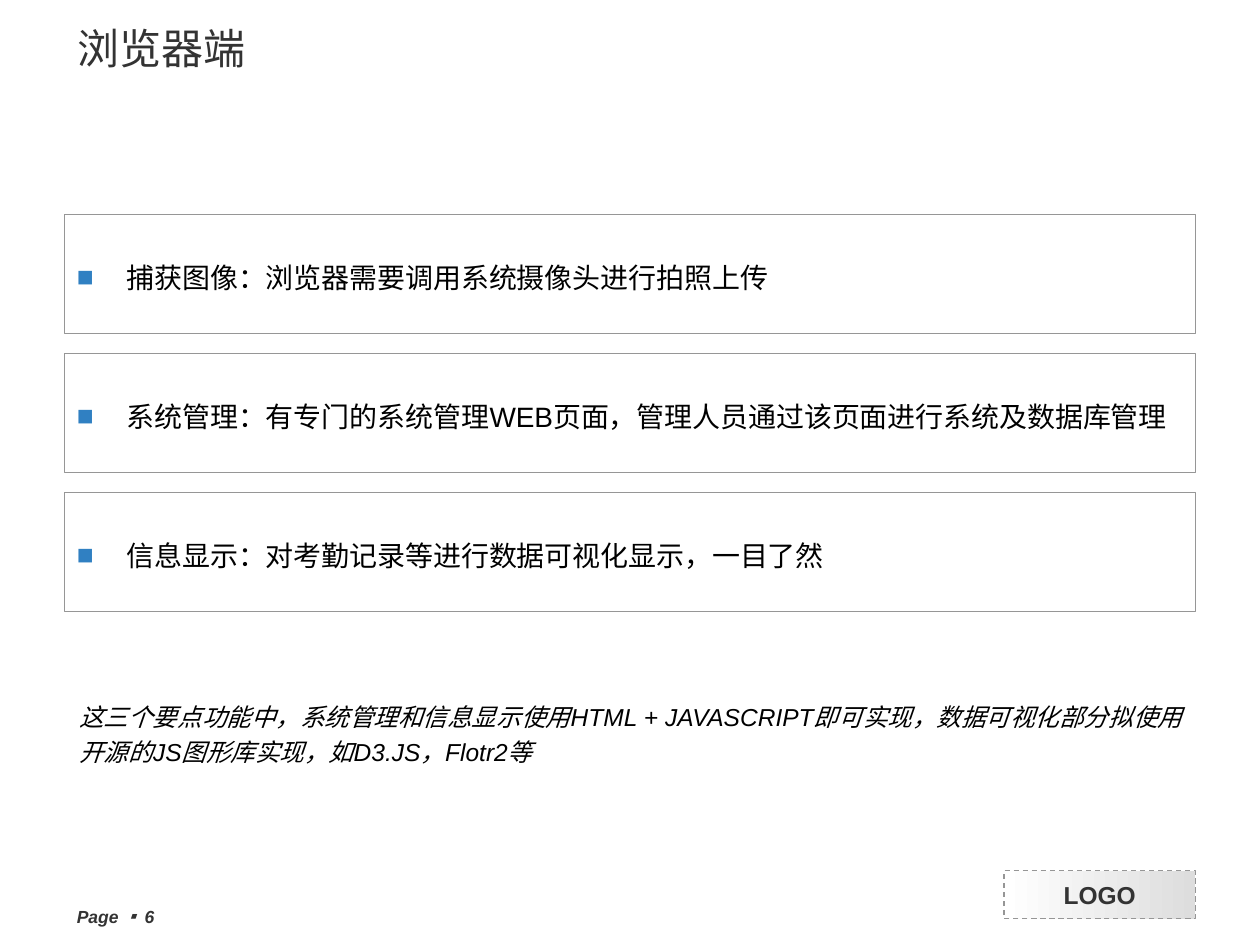
from lxml.etree import SubElement
from pptx import Presentation
from pptx.dml.color import RGBColor
from pptx.enum.dml import MSO_LINE
from pptx.enum.shapes import MSO_SHAPE
from pptx.enum.text import MSO_ANCHOR, MSO_AUTO_SIZE, PP_ALIGN
from pptx.oxml.ns import qn
from pptx.util import Cm, Pt

HEX = {"ink": "333333", "text": "000000", "line": "969696",
       "mark": "3080C2", "white": "FFFFFF", "grey": "DDDDDD"}
LATIN, ASIAN = "Arial", "Noto Sans CJK JP"
POINTS = ["捕获图像：浏览器需要调用系统摄像头进行拍照上传",
          "系统管理：有专门的系统管理WEB页面，管理人员通过该页面进行系统及数据库管理",
          "信息显示：对考勤记录等进行数据可视化显示，一目了然"]
NOTE = ("这三个要点功能中，系统管理和信息显示使用HTML + JAVASCRIPT即可实现，"
        "数据可视化部分拟使用开源的JS图形库实现，如D3.JS，Flotr2等")


def rgb(name):
    """Return the named colour."""
    return RGBColor.from_string(HEX[name])


def add_run(para, text, size, color, bold=False, italic=False, face=LATIN):
    """Add one formatted run to a paragraph."""
    run = para.add_run()
    run.text = text
    font = run.font
    font.name, font.size, font.bold, font.italic = face, Pt(size), bold, italic
    font.color.rgb = rgb(color)
    SubElement(font._element, qn("a:ea"), typeface=ASIAN)


def add_mark(para):
    """Give a paragraph a hanging square bullet."""
    props = para._p.get_or_add_pPr()
    props.set("marL", str(Cm(1)))
    props.set("indent", str(-Cm(1)))
    tint = SubElement(props, qn("a:buClr"))
    SubElement(tint, qn("a:srgbClr"), val=HEX["mark"])
    SubElement(props, qn("a:buFont"), typeface=LATIN)
    SubElement(props, qn("a:buChar"), char="■")


def add_box(slide, kind, x, y, w, h, weight):
    """Add an outlined shape with centred-height text."""
    box = slide.shapes.add_shape(kind, Cm(x), Cm(y), Cm(w), Cm(h))
    box.shadow.inherit = False
    box.line.color.rgb = rgb("line")
    box.line.width = Pt(weight)
    box.text_frame.vertical_anchor = MSO_ANCHOR.MIDDLE
    return box


def add_text(slide, x, y, w, h):
    """Add a wrapping text box and return its first paragraph."""
    frame = slide.shapes.add_textbox(Cm(x), Cm(y), Cm(w), Cm(h)).text_frame
    frame.word_wrap = True
    return frame.paragraphs[0]


def set_title(slide, x, y, w, h):
    """Place and fill the title."""
    title = slide.shapes.title
    title.left, title.top, title.width, title.height = Cm(x), Cm(y), Cm(w), Cm(h)
    frame = title.text_frame
    frame.auto_size = MSO_AUTO_SIZE.NONE
    frame.vertical_anchor = MSO_ANCHOR.MIDDLE
    para = frame.paragraphs[0]
    para.alignment = PP_ALIGN.LEFT
    add_run(para, "浏览器端", 24, "ink")


def add_points(slide, x, y, w, h, gap):
    """Stack one box per point, sharing the height equally."""
    count = len(POINTS)
    tall = (h - gap * (count - 1)) / count
    for i, text in enumerate(POINTS):
        box = add_box(slide, MSO_SHAPE.ROUNDED_RECTANGLE,
                      x, y + i * (tall + gap), w, tall, 0.25)
        box.adjustments[0] = 0
        box.fill.background()
        para = box.text_frame.paragraphs[0]
        para.alignment = PP_ALIGN.LEFT
        para.line_spacing, para.space_before = 1.2, Pt(10)
        add_mark(para)
        add_run(para, text, 16, "text")


def add_note(slide, x, y, w, h):
    """Add the closing remark."""
    para = add_text(slide, x, y, w, h)
    para.line_spacing, para.space_before = 1.2, Pt(8.8)
    add_run(para, NOTE, 14, "text", italic=True)


def add_page(slide, x, y, w, h):
    """Add the page number."""
    para = add_text(slide, x, y, w, h)
    for text, face in (("Page ", LATIN), ("▪ ", ASIAN), ("6", LATIN)):
        add_run(para, text, 10, "ink", True, True, face)


def add_badge(slide, x, y, w, h):
    """Add the dashed badge with its left-to-right fade."""
    box = add_box(slide, MSO_SHAPE.RECTANGLE, x, y, w, h, 0.75)
    box.line.dash_style = MSO_LINE.DASH
    box.fill.gradient()
    box.fill.gradient_angle = 0
    for stop, name, pos in zip(box.fill.gradient_stops, ("white", "grey"), (0, 1)):
        stop.color.rgb = rgb(name)
        stop.position = pos
    box.text_frame.word_wrap = False
    para = box.text_frame.paragraphs[0]
    para.alignment = PP_ALIGN.CENTER
    add_run(para, "LOGO", 14, "ink", bold=True)


def main():
    """Build and save the slide."""
    deck = Presentation()
    deck.slide_width, deck.slide_height = Cm(25.4), Cm(19.05)
    slide = deck.slides.add_slide(deck.slide_layouts[5])
    add_badge(slide, 20.24, 17.55, 3.86, 0.97)
    add_page(slide, 1.3, 18.14, 4, 0.56)
    set_title(slide, 1.3, 0, 16.2, 1.93)
    add_points(slide, 1.3, 4.32, 22.8, 8, 0.4)
    add_note(slide, 1.35, 13.9, 22.8, 1.68)
    deck.save("out.pptx")


if __name__ == "__main__":
    main()
